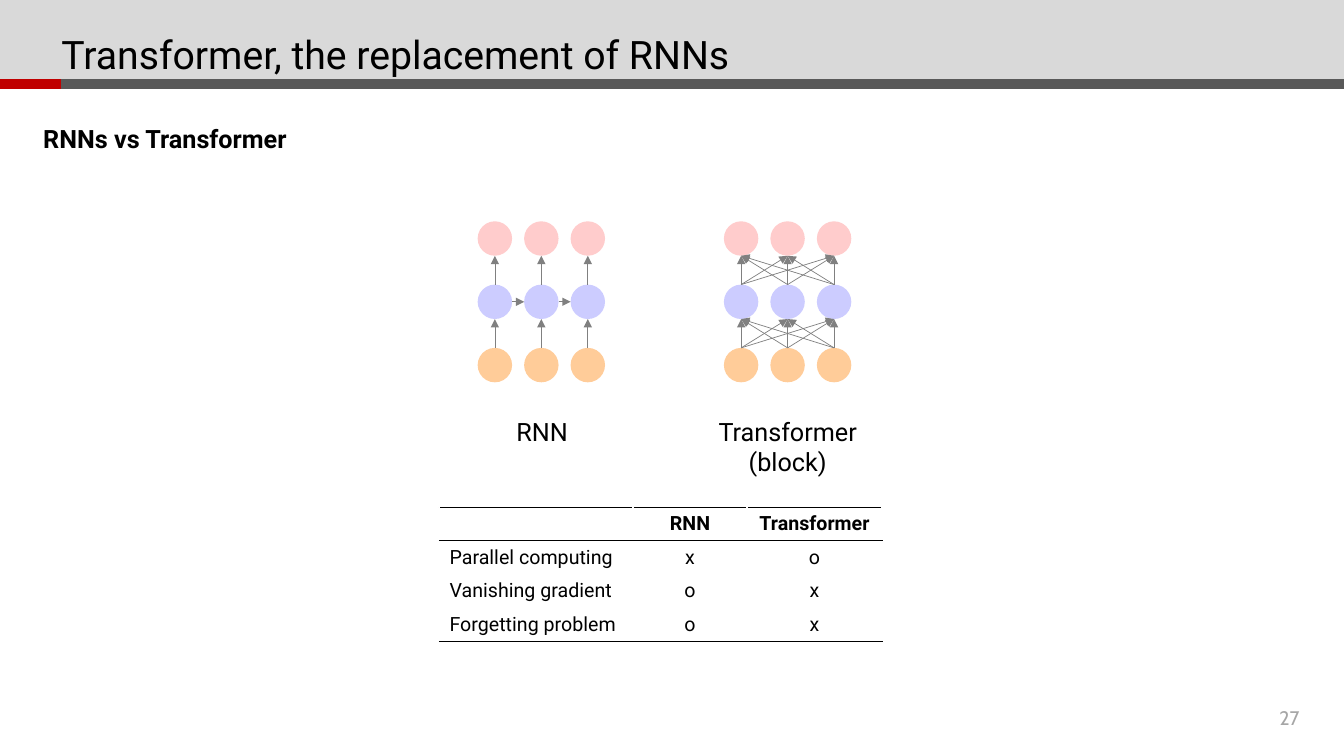
"""Build the slide that compares RNNs with the Transformer block."""
from lxml import etree
from pptx import Presentation
from pptx.dml.color import RGBColor
from pptx.enum import shapes, text
from pptx.oxml import ns
from pptx.util import Pt

TITLE = "Transformer, the replacement of RNNs"
SUBTITLE = "RNNs vs Transformer"
PAGE = "27"
COMPARISON = [
    ("", "RNN", "Transformer"),
    ("Parallel computing", "x", "o"),
    ("Vanishing gradient", "o", "x"),
    ("Forgetting problem", "o", "x"),
]
UPWARD = [(0, 0), (1, 1), (2, 2)]
ALL_PAIRS = [(start, end) for start in range(3) for end in range(3)]
NETWORKS = [
    {"label": "RNN", "first_x": 353.5, "label_box": (346.5, 293.8, 81.4, 28.8),
     "links": UPWARD, "recurrent": True},
    {"label": "Transformer (block)", "first_x": 529.4, "label_box": (486, 293.8, 153.4, 51),
     "links": ALL_PAIRS, "recurrent": False},
]
COLORS = {
    "band": "D9D9D9", "rule": "595959", "accent": "C00000", "text": "000000",
    "page": "A6A6A6", "output": "FFCCCC", "hidden": "CCCCFF", "input": "FFCC99",
    "arrow": "808080", "white": "FFFFFF",
}
LAYERS = ["output", "hidden", "input"]
TOP_Y, LAYER_GAP, NODE_GAP, RADIUS = 170.4, 45.2, 33.2, 12.3
TABLE_LEFT, TABLE_TOP, ROW_HEIGHT = 313.9, 362.2, 23.75
COLUMN_WIDTHS = [138.3, 81.4, 96.5]

prs = Presentation()
prs.slide_width, prs.slide_height = Pt(960), Pt(540)
slide = prs.slides.add_slide(prs.slide_layouts[5])


def color(name):
    return RGBColor.from_string(COLORS[name])


def format_text(paragraph, size, align=text.PP_ALIGN.LEFT, bold=False, font="Roboto", tint="text"):
    paragraph.alignment = align
    paragraph.font.name, paragraph.font.size = font, Pt(size)
    paragraph.font.bold = bold
    paragraph.font.color.rgb = color(tint)


def add_text(words, box, size, **style):
    frame = slide.shapes.add_textbox(*map(Pt, box)).text_frame
    frame.word_wrap = True
    frame.text = words
    format_text(frame.paragraphs[0], size, **style)
    return frame.paragraphs[0]


def add_filled(preset, box, tint):
    shape = slide.shapes.add_shape(preset, *map(Pt, box))
    shape.shadow.inherit = False
    shape.fill.solid()
    shape.fill.fore_color.rgb = color(tint)
    shape.line.fill.background()


def add_line(start, end, tint, width, arrow=False):
    line = slide.shapes.add_connector(shapes.MSO_CONNECTOR.STRAIGHT, *map(Pt, start + end))
    line.line.color.rgb = color(tint)
    line.line.width = Pt(width)
    if arrow:
        etree.SubElement(line.line._get_or_add_ln(), ns.qn("a:tailEnd"), type="triangle")
    etree.SubElement(line._element.spPr, ns.qn("a:effectLst"))


def set_border(cell, side, tint):
    border = etree.SubElement(cell._tc.get_or_add_tcPr(), ns.qn(f"a:ln{side}"), w=str(Pt(1)))
    fill = etree.SubElement(border, ns.qn("a:solidFill"))
    etree.SubElement(fill, ns.qn("a:srgbClr"), val=COLORS[tint])


def add_network(network):
    xs = [network["first_x"] + i * NODE_GAP for i in range(3)]
    ys = [TOP_Y + i * LAYER_GAP for i in range(3)]
    for y, layer in zip(ys, LAYERS):
        for x in xs:
            add_filled(shapes.MSO_SHAPE.OVAL, (x - RADIUS, y - RADIUS, 2 * RADIUS, 2 * RADIUS), layer)
    for upper, lower in zip(ys, ys[1:]):
        for start, end in network["links"]:
            add_line((xs[start], lower - RADIUS), (xs[end], upper + RADIUS), "arrow", 0.5, True)
    if network["recurrent"]:
        for left, right in zip(xs, xs[1:]):
            add_line((left + RADIUS, ys[1]), (right - RADIUS, ys[1]), "arrow", 0.5, True)
    add_text(network["label"], network["label_box"], 18, align=text.PP_ALIGN.CENTER)


def add_comparison():
    table = slide.shapes.add_table(
        len(COMPARISON), len(COLUMN_WIDTHS), Pt(TABLE_LEFT), Pt(TABLE_TOP),
        Pt(sum(COLUMN_WIDTHS)), Pt(ROW_HEIGHT * len(COMPARISON))).table
    table.first_row = table.horz_banding = False
    for column, width in zip(table.columns, COLUMN_WIDTHS):
        column.width = Pt(width)
    ruled = {0, 1, len(COMPARISON)}
    for r, row in enumerate(COMPARISON):
        table.rows[r].height = Pt(ROW_HEIGHT)
        for c, words in enumerate(row):
            cell = table.cell(r, c)
            cell.text = words
            align = text.PP_ALIGN.CENTER if c else text.PP_ALIGN.LEFT
            format_text(cell.text_frame.paragraphs[0], 14, align, bold=r == 0)
            set_border(cell, "L", "white")
            set_border(cell, "R", "white")
            set_border(cell, "T", "text" if r in ruled else "white")
            set_border(cell, "B", "text" if r + 1 in ruled else "white")
            cell.fill.background()


add_filled(shapes.MSO_SHAPE.RECTANGLE, (0, 0, 960, 62.6), "band")
add_line((43.9, 60.2), (960, 60.2), "rule", 7)
add_line((0, 60.2), (43.9, 60.2), "accent", 7)

title = slide.shapes.title
title.left, title.top, title.width, title.height = map(Pt, (43.9, -1.4, 892, 56.9))
slide.shapes._spTree.append(title._element)
title.text = TITLE
title_frame = title.text_frame
title_frame.auto_size = text.MSO_AUTO_SIZE.NONE
title_frame.vertical_anchor = text.MSO_ANCHOR.BOTTOM
title_frame.margin_left = title_frame.margin_top = title_frame.margin_bottom = 0
format_text(title_frame.paragraphs[0], 28)

add_text(SUBTITLE, (23.8, 87.1, 911.5, 28.8), 18, bold=True).line_spacing = 0.9
add_text(PAGE, (776.9, 500.4, 158.4, 28.8), 14,
         align=text.PP_ALIGN.RIGHT, font="Cabin", tint="page")
for network in NETWORKS:
    add_network(network)
add_comparison()

prs.save("out.pptx")
